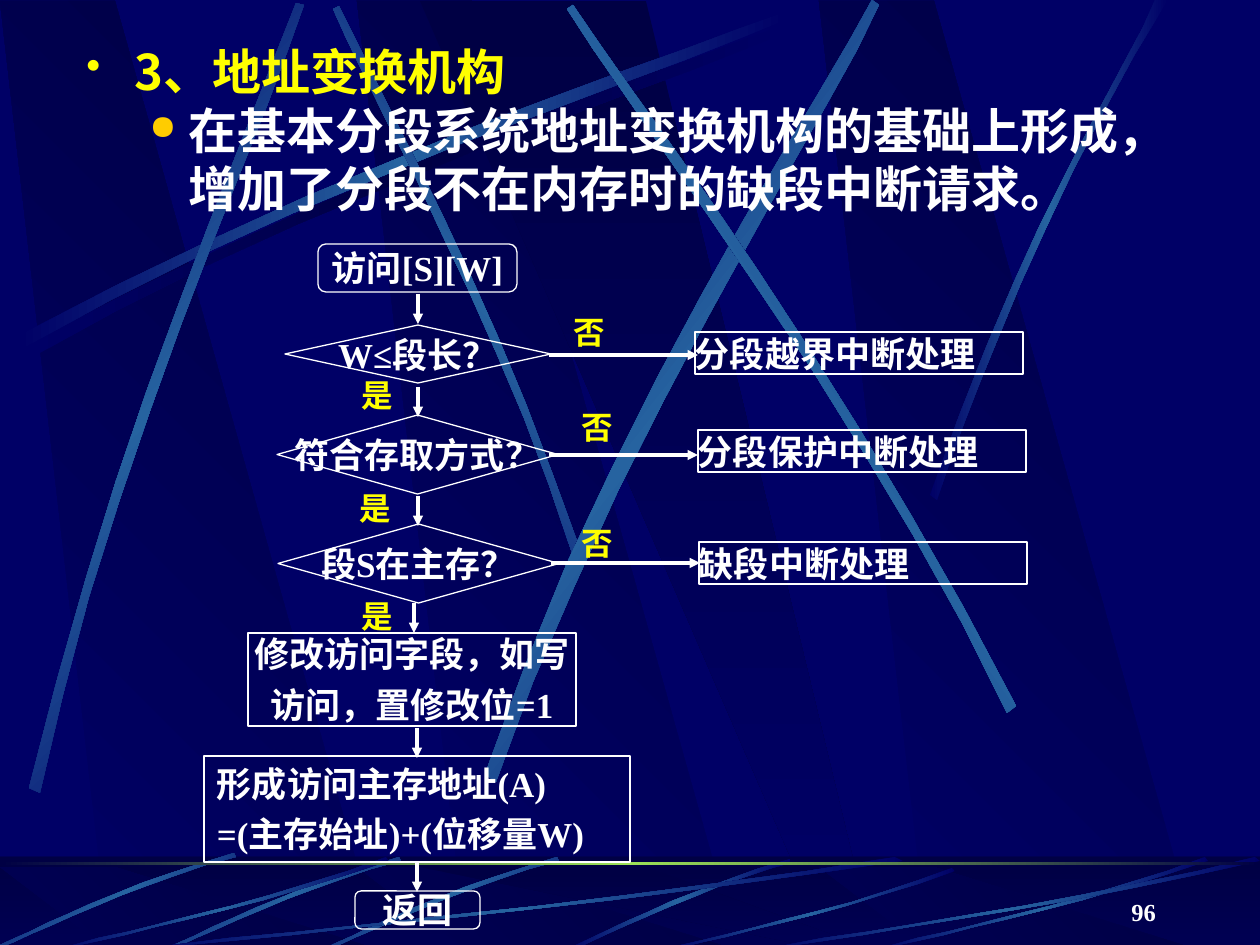
from lxml import etree
from pptx import Presentation
from pptx import util as u
from pptx.dml.color import RGBColor
from pptx.enum import shapes, text
from pptx.oxml import parse_xml
from pptx.oxml.ns import nsdecls, qn

PX = 914400 / 126
COLORS = {
    "navy": "000066", "night": "000044", "beam": "2663A0", "horizon": "9CE157",
    "white": "FFFFFF", "yellow": "FFFF00", "gold": "FFCC00",
}
SERIF, SANS = "Times New Roman", "Noto Sans CJK SC"
BEAM = ("navy", "beam", "navy")
DARK_BEAM = ("navy", "night", "navy")
CENTER = text.PP_ALIGN.CENTER
MIDDLE = text.MSO_ANCHOR.MIDDLE
BOX = shapes.MSO_SHAPE.RECTANGLE
ROUND = shapes.MSO_SHAPE.FLOWCHART_ALTERNATE_PROCESS
DIAMOND = shapes.MSO_SHAPE.FLOWCHART_DECISION

# Beams: lower edge and upper edge, each a cubic curve of four points
LONG_BEAM = [(18, 336), (351, 158), (653, 63), (782, 13),
             (786, 20), (658, 77), (313, 180), (22, 349)]
STEEP_BEAMS = [
    (45, [(580, 549), (493, 295), (381, 97), (339, 6),
          (333, 9), (372, 100), (501, 325), (572, 553)]),
    (311.7, [(29, 788), (117, 421), (248, 132), (296, 3),
             (304, 5), (261, 136), (108, 464), (40, 793)]),
    (321.6, [(485, 774), (612, 403), (804, 129), (872, 0),
             (879, 5), (818, 136), (612, 447), (496, 782)]),
    (34.8, [(1016, 706), (844, 369), (650, 120), (573, 5),
            (567, 9), (639, 127), (863, 410), (1007, 713)]),
    (0, [(930, 495), (1026, 218), (1119, 83), (1155, 0),
         (1168, 0), (1053, 183), (969, 406), (937, 500)]),
]
FLOOR_BEAM = [(790, 859), (677, 893), (601, 935), (564, 950),
              (571, 951), (617, 929), (719, 882), (791, 863)]
STREAK = [(557, 857), (447, 888), (362, 932), (323, 949),
          (324, 951), (363, 936), (460, 886), (559, 861)]
# Fan ray in fractions of its width and height
RAY = [(1, 0.04), (0.57, 0.57), (0.17, 0.85), (0.01, 1),
       (0, 0.99), (0.17, 0.81), (0.62, 0.51), (0.99, 0)]


def px(value):
    return u.Emu(round(value * PX))


def rgb(name):
    return RGBColor.from_string(COLORS[name])


def set_gradient(shape, names, angle):
    """Fill with evenly spaced stops; the angle runs clockwise."""
    stops = "".join(
        f'<a:gs pos="{round(100000 * i / (len(names) - 1))}"><a:srgbClr val="{COLORS[name]}"/></a:gs>'
        for i, name in enumerate(names))
    shape.fill.background()
    no_fill = shape.element.spPr.find(qn("a:noFill"))
    no_fill.getparent().replace(no_fill, parse_xml(
        f'<a:gradFill {nsdecls("a")}><a:gsLst>{stops}</a:gsLst>'
        f'<a:lin ang="{round(angle * 60000)}" scaled="0"/></a:gradFill>'))


def add_outline(slide, points, names, angle):
    (x, y), *rest = points
    builder = slide.shapes.build_freeform(round(x), round(y), scale=PX)
    builder.add_line_segments([(round(a), round(b)) for a, b in rest], close=True)
    shape = builder.convert_to_shape()
    shape.shadow.inherit = False
    shape.line.fill.background()
    set_gradient(shape, names, angle)


def cubic(points, steps=10):
    for i in range(steps + 1):
        t = i / steps
        weights = ((1 - t) ** 3, 3 * t * (1 - t) ** 2, 3 * t * t * (1 - t), t ** 3)
        yield tuple(sum(w * p[axis] for w, p in zip(weights, points)) for axis in (0, 1))


def add_beam(slide, points, names=BEAM, rotation=0, dx=0, dy=0):
    outline = [*cubic(points[:4]), *cubic(points[4:])]
    add_outline(slide, [(x + dx, y + dy) for x, y in outline], names, -rotation % 360)


def add_panels(slide, top, bottom):
    for x in (357, 0, 819):
        add_outline(slide, [(x + 109, bottom), (x + 380, bottom), (x + 115, top), (x, top)],
                    ("navy", "night"), 315)
    add_outline(slide, [(420, top), (829, bottom), (874, bottom), (646, top)],
                ("night", "navy"), 90)


def add_strip(slide, top, height):
    shape = slide.shapes.add_shape(BOX, 0, px(top), px(1260), px(height))
    shape.shadow.inherit = False
    shape.line.fill.background()
    return shape


def add_background(slide):
    slide.background.fill.solid()
    slide.background.fill.fore_color.rgb = rgb("navy")
    # Sky
    add_panels(slide, 1, 946)
    add_beam(slide, LONG_BEAM, DARK_BEAM, dx=7, dy=10)
    add_beam(slide, LONG_BEAM)
    for rotation, points in STEEP_BEAMS:
        add_beam(slide, points, rotation=rotation)
    # Floor
    set_gradient(add_strip(slide, 857, 94), ("night", "navy"), 90)
    add_panels(slide, 867, 950)
    veil = add_strip(slide, 856, 94)
    veil.fill.solid()
    veil.fill.fore_color.rgb = rgb("night")
    color = veil.element.spPr.find(qn("a:solidFill"))[0]
    etree.SubElement(color, qn("a:alpha"), val="50000")
    add_beam(slide, FLOOR_BEAM)
    for dx, dy in ((0, 0), (-158, 0), (-323, -4)):
        add_beam(slide, STREAK, rotation=314.9, dx=dx, dy=dy)
    for left, top, width, height in ((126, 857, 777, 94), (53, 857, 336, 94), (664, 868, 291, 83),
                                     (872, 857, 336, 94), (756, 857, 504, 94)):
        add_beam(slide, [(left + x * width, top + y * height) for x, y in RAY])
    set_gradient(add_strip(slide, 862, 3), ("night", "horizon", "night"), 0)


def add_run(paragraph, words, size, color, font=SERIF):
    run = paragraph.add_run()
    run.text = words
    run.font.size = u.Pt(size)
    run.font.bold = True
    run.font.name = font
    run.font.color.rgb = rgb(color)


def write(shape, lines, size, color, align, anchor, wrap, margins):
    frame = shape.text_frame
    frame.word_wrap = wrap
    frame.vertical_anchor = anchor
    frame.margin_left = frame.margin_right = px(margins[0])
    frame.margin_top = frame.margin_bottom = px(margins[1])
    for i, line in enumerate(lines):
        paragraph = frame.add_paragraph() if i else frame.paragraphs[0]
        paragraph.alignment = align
        if i:
            paragraph.space_before = u.Pt(5)
        add_run(paragraph, line, size, color)


def add_node(slide, kind, bounds, *lines, align=CENTER, anchor=MIDDLE, wrap=False, margins=(0, 0)):
    shape = slide.shapes.add_shape(kind, *map(px, bounds))
    shape.shadow.inherit = False
    shape.fill.background()
    shape.line.color.rgb = rgb("white")
    shape.line.width = u.Pt(0.75)
    write(shape, lines, 20, "white", align, anchor, wrap, margins)


def add_label(slide, bounds, words, size=18, color="yellow", align=CENTER,
              anchor=text.MSO_ANCHOR.TOP, wrap=False):
    box = slide.shapes.add_textbox(*map(px, bounds))
    write(box, [words], size, color, align, anchor, wrap, (13, 6))


def add_arrow(slide, x, y, dx=0, dy=0):
    line = slide.shapes.add_connector(shapes.MSO_CONNECTOR.STRAIGHT,
                                      px(x), px(y), px(x + dx), px(y + dy))
    line.line.color.rgb = rgb("white")
    line.line.width = u.Pt(1.75)
    etree.SubElement(line.line._get_or_add_ln(), qn("a:tailEnd"), type="triangle")
    etree.SubElement(line.element.spPr, qn("a:effectLst"))


def add_bullet(paragraph, words, level, bullet, bullet_color, bullet_size, color, left, hanging):
    paragraph.level = level
    properties = paragraph._p.get_or_add_pPr()
    properties.set("marL", str(px(left)))
    properties.set("indent", str(-px(hanging)))
    bullet_fill = etree.SubElement(properties, qn("a:buClr"))
    etree.SubElement(bullet_fill, qn("a:srgbClr"), val=COLORS[bullet_color])
    etree.SubElement(properties, qn("a:buSzPct"), val=str(bullet_size * 1000))
    etree.SubElement(properties, qn("a:buChar"), char=bullet)
    add_run(paragraph, words, 28, color, SANS)


def add_body(slide):
    frame = slide.shapes.add_textbox(*map(px, (74, 35, 1121, 208))).text_frame
    frame.word_wrap = True
    add_bullet(frame.paragraphs[0], "3、地址变换机构", 0, "•", "yellow", 85, "yellow", 48, 48)
    add_bullet(frame.add_paragraph(),
               "在基本分段系统地址变换机构的基础上形成，增加了分段不在内存时的缺段中断请求。",
               1, "●", "gold", 70, "white", 102, 39)


def add_flowchart(slide):
    top, left = text.MSO_ANCHOR.TOP, text.PP_ALIGN.LEFT
    # Main column
    add_node(slide, ROUND, (318, 244, 199, 48), "访问[S][W]")
    add_node(slide, DIAMOND, (285, 325, 266, 58), "W≤段长？")
    add_node(slide, DIAMOND, (277, 415, 281, 79), "符合存取方式？")
    add_node(slide, DIAMOND, (278, 524, 281, 79), "段S在主存？")
    add_node(slide, BOX, (248, 633, 328, 93), "修改访问字段，如写", "访问，置修改位=1",
             anchor=top, wrap=True)
    add_node(slide, BOX, (204, 756, 426, 106), "形成访问主存地址(A)", "=(主存始址)+(位移量W)",
             align=left, anchor=top, margins=(13, 6))
    add_node(slide, ROUND, (355, 891, 125, 38), "返回")
    for x, y in ((418, 294), (418, 387), (418, 496), (414, 603), (417, 728), (417, 862)):
        add_arrow(slide, x, y, dy=30)
    # Interrupt branches
    for x, y, words in ((695, 332, "分段越界中断处理"), (698, 430, "分段保护中断处理"),
                        (699, 542, "缺段中断处理")):
        add_node(slide, BOX, (x, y, 328, 42), words, align=left, anchor=top, wrap=True)
    for x, y in ((549, 355), (549, 455), (551, 563)):
        add_arrow(slide, x, y, dx=149)
    # Decision answers
    for x, y, words in ((349, 370, "是"), (347, 483, "是"), (349, 591, "是"),
                        (561, 307, "否"), (569, 402, "否"), (569, 518, "否")):
        add_label(slide, (x, y, 57, 50), words)


def main():
    presentation = Presentation()
    presentation.slide_width, presentation.slide_height = px(1260), px(945)
    slide = presentation.slides.add_slide(presentation.slide_layouts[6])
    add_background(slide)
    add_body(slide)
    add_flowchart(slide)
    # Page number
    add_label(slide, (907, 869, 262, 63), "96", 14, "white", text.PP_ALIGN.RIGHT,
              text.MSO_ANCHOR.BOTTOM, True)
    presentation.save("out.pptx")


if __name__ == "__main__":
    main()
